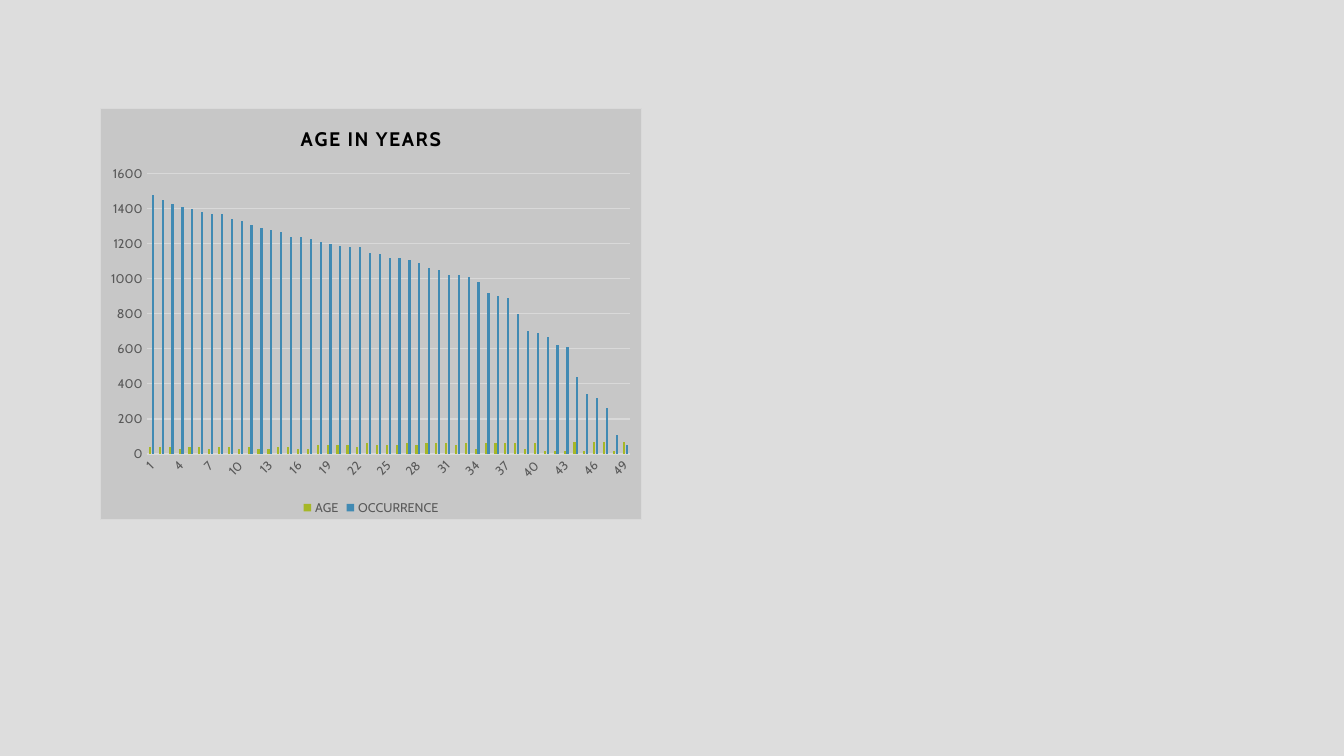
"""Build a slide with a column chart of ages and their occurrence."""
from pptx import Presentation
from pptx.chart.data import CategoryChartData
from pptx.dml.color import RGBColor
from pptx.enum.chart import XL_CHART_TYPE, XL_LEGEND_POSITION, XL_TICK_MARK
from pptx.oxml import parse_xml
from pptx.oxml.ns import nsdecls
from pptx.util import Inches, Pt

COLUMNS = XL_CHART_TYPE.COLUMN_CLUSTERED
BOTTOM = XL_LEGEND_POSITION.BOTTOM
NO_TICK = XL_TICK_MARK.NONE
BACKGROUND = RGBColor(0xDD, 0xDD, 0xDD)
PANEL = RGBColor(0xC7, 0xC7, 0xC7)
RULE = RGBColor(0xD9, 0xD9, 0xD9)
GREY = RGBColor(0x59, 0x59, 0x59)
BLACK = RGBColor(0x00, 0x00, 0x00)
GREEN = RGBColor(0xA6, 0xB7, 0x27)
BLUE = RGBColor(0x41, 0x8A, 0xB3)
FONT = "Cabin"

AGES = [
    40, 40, 40, 30, 40, 40, 30, 40, 40, 30, 40, 30, 30, 40, 40, 30, 30,
    50, 50, 50, 50, 40, 60, 50, 50, 50, 60, 50, 60, 60, 60, 50, 60, 30,
    60, 60, 60, 60, 30, 60, 20, 20, 20, 70, 20, 70, 70, 20, 70,
]
OCCURRENCES = [
    1480, 1450, 1430, 1410, 1400, 1380, 1370, 1370, 1340, 1330, 1310, 1290,
    1280, 1270, 1240, 1240, 1230, 1210, 1200, 1190, 1180, 1180, 1150, 1140,
    1120, 1120, 1110, 1090, 1060, 1050, 1020, 1020, 1010, 980, 920, 900, 890,
    800, 700, 690, 670, 620, 610, 440, 340, 320, 260, 110, 50,
]


def set_font(font, size, color, bold=False):
    """Apply the chart typeface."""
    font.name = FONT
    font.size = Pt(size)
    font.bold = bold
    font.color.rgb = color


def set_line(line):
    """Apply the thin light rule."""
    line.color.rgb = RULE
    line.width = Pt(0.75)


presentation = Presentation()
presentation.slide_width = Inches(13.33)
presentation.slide_height = Inches(7.5)
slide = presentation.slides.add_slide(presentation.slide_layouts[6])
slide.background.fill.solid()
slide.background.fill.fore_color.rgb = BACKGROUND

chart_data = CategoryChartData()
chart_data.categories = [str(number) for number in range(1, len(AGES) + 1)]
chart_data.add_series("AGE", AGES)
chart_data.add_series("OCCURRENCE", OCCURRENCES)
chart = slide.shapes.add_chart(
    COLUMNS, Inches(0.99), Inches(1.07), Inches(5.38), Inches(4.09), chart_data
).chart
set_font(chart.font, 10, BLACK)

chart.has_title = True
title = chart.chart_title.text_frame
title.text = "AGE IN YEARS"
title_font = title.paragraphs[0].runs[0].font
set_font(title_font, 14, BLACK, True)
title.paragraphs[0].runs[0].font._element.set("spc", "100")
chart.chart_title.include_in_layout = False

chart.has_legend = True
chart.legend.position = BOTTOM
chart.legend.include_in_layout = False
set_font(chart.legend.font, 9, GREY)

for axis in (chart.category_axis, chart.value_axis):
    axis.major_tick_mark = NO_TICK
    axis.minor_tick_mark = NO_TICK
    set_font(axis.tick_labels.font, 9, GREY)
set_line(chart.category_axis.format.line)
chart.value_axis.format.line.fill.background()
set_line(chart.value_axis.major_gridlines.format.line)
chart.value_axis.minimum_scale = 0
chart.value_axis.maximum_scale = 1600
chart.value_axis.major_unit = 200

plot = chart.plots[0]
plot.vary_by_categories = False
plot.gap_width = 219
plot.overlap = -27
for series, color in zip(plot.series, (GREEN, BLUE)):
    series.format.fill.solid()
    series.format.fill.fore_color.rgb = color

chart_area = parse_xml(
    f'<c:spPr {nsdecls("c", "a")}>'
    f'<a:solidFill><a:srgbClr val="{PANEL}"/></a:solidFill>'
    f'<a:ln w="{Pt(0.75)}"><a:solidFill><a:srgbClr val="{RULE}"/></a:solidFill></a:ln>'
    "</c:spPr>"
)
chart.element.find("{*}chart").addnext(chart_area)

presentation.save("out.pptx")
